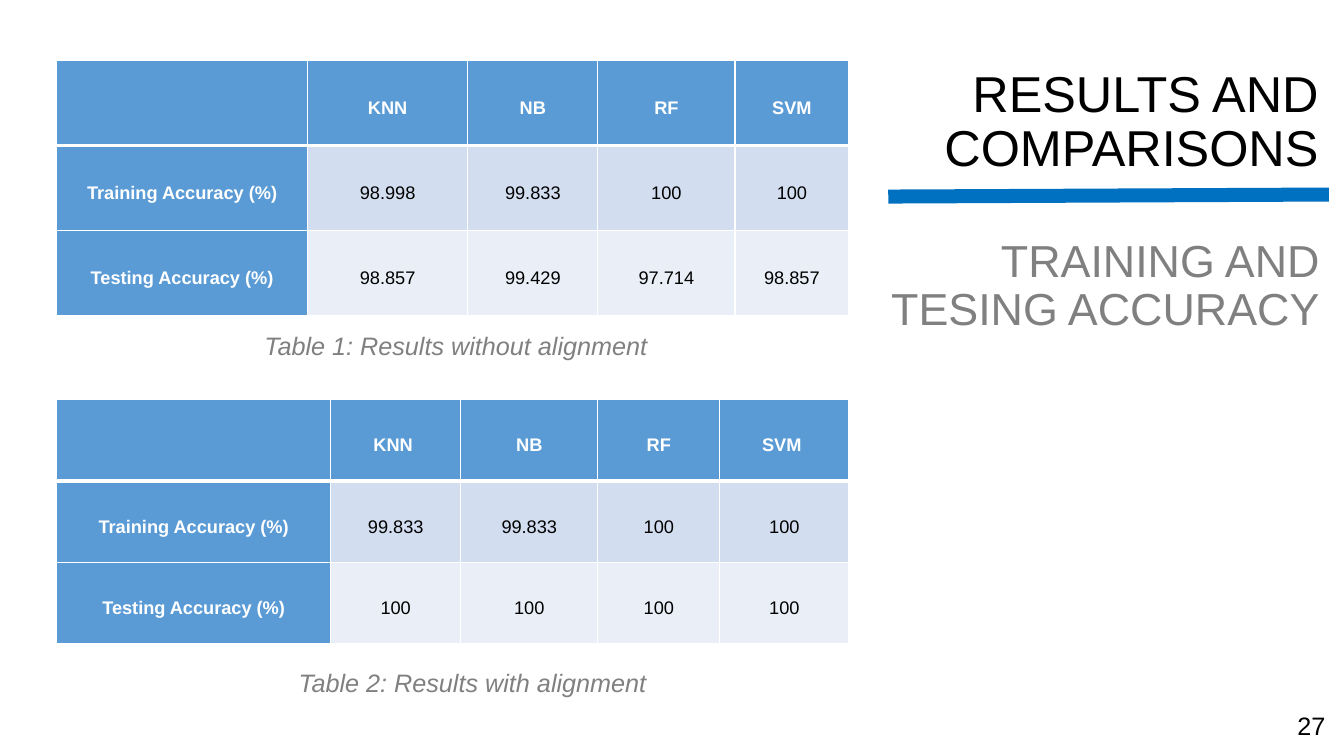
from lxml.etree import SubElement
from pptx import Presentation
from pptx.dml.color import RGBColor
from pptx.enum.shapes import MSO_CONNECTOR
from pptx.enum.text import MSO_ANCHOR as Anchor, PP_ALIGN as Align
from pptx.oxml.ns import qn
from pptx.util import Inches, Pt

TITLE = "RESULTS AND COMPARISONS"
SUBTITLE = "TRAINING AND TESING ACCURACY"
PAGE_NUMBER = "27"
TABLES = [
    {"top": 0.6, "row_height": 0.843, "columns": [2.49, 1.59, 1.29, 1.36, 1.13],
     "rows": [["", "KNN", "NB", "RF", "SVM"],
              ["Training Accuracy (%)", "98.998", "99.833", "100", "100"],
              ["Testing Accuracy (%)", "98.857", "99.429", "97.714", "98.857"]],
     "caption": "Table 1: Results without alignment",
     "caption_at": (2.48, 3.23, 4.04, 0.4)},
    {"top": 3.96, "row_height": 0.81, "columns": [2.72, 1.29, 1.36, 1.21, 1.28],
     "rows": [["", "KNN ", "NB", "RF", "SVM "],
              ["Training Accuracy (%)", "99.833", "99.833", "100", "100"],
              ["Testing Accuracy (%)", "100", "100", "100", "100"]],
     "caption": "Table 2: Results with alignment",
     "caption_at": (2.83, 6.57, 3.68, 0.4)},
]
TABLE_LEFT = 0.56
FONT = "Arial"
BLACK, WHITE, GREY = "000000", "FFFFFF", "808080"
HEADER_FILL, RULE_BLUE = "5A9BD5", "0070C0"
BODY_FILLS = ["D2DEEF", "EAEFF7"]


def color(hex_text):
    return RGBColor.from_string(hex_text)


def write(frame, text, size, ink, align, spacing=None, bold=False, italic=False):
    para = frame.paragraphs[0]
    para.alignment = align
    if spacing:
        para.line_spacing = spacing
    span = para.add_run()
    span.text = text
    span.font.name, span.font.size = FONT, Pt(size)
    span.font.bold, span.font.italic = bold, italic
    span.font.color.rgb = color(ink)
    return para


def add_text(page, place, *args, wrap=True, anchor=Anchor.TOP, **style):
    box = page.shapes.add_textbox(*map(Inches, place))
    box.text_frame.word_wrap = wrap
    box.text_frame.vertical_anchor = anchor
    write(box.text_frame, *args, **style)


def add_borders(cell, widths):
    """Draw white cell edges; widths maps L, R, T, B to points."""
    properties = cell._tc.get_or_add_tcPr()
    for side, width in widths.items():
        edge = SubElement(properties, qn(f"a:ln{side}"), w=str(Pt(width)))
        fill = SubElement(edge, qn("a:solidFill"))
        SubElement(fill, qn("a:srgbClr"), val=WHITE)


def fill_cell(cell, text, row, column):
    heading = row == 0 or column == 0
    add_borders(cell, {"L": 1, "R": 1, "T": 3 if row == 1 else 1,
                       "B": 3 if row == 0 else 1})
    cell.fill.solid()
    cell.fill.fore_color.rgb = color(HEADER_FILL if heading else BODY_FILLS[row - 1])
    cell.vertical_anchor = Anchor.MIDDLE
    cell.margin_left = cell.margin_right = Inches(0.07)
    cell.margin_top = cell.margin_bottom = 0
    if text:
        para = write(cell.text_frame, text, 13, WHITE if heading else BLACK,
                     Align.CENTER, spacing=1.5, bold=heading)
        para.space_after = Pt(10)


def add_results(page, content):
    rows, columns = content["rows"], content["columns"]
    height = content["row_height"]
    frame = page.shapes.add_table(
        len(rows), len(columns), Inches(TABLE_LEFT), Inches(content["top"]),
        Inches(sum(columns)), Inches(height * len(rows)))
    table = frame.table
    for column, width in zip(table.columns, columns):
        column.width = Inches(width)
    for row, texts in enumerate(rows):
        table.rows[row].height = Inches(height)
        for column, text in enumerate(texts):
            fill_cell(table.cell(row, column), text, row, column)
    add_text(page, content["caption_at"], content["caption"], 18, GREY,
             Align.RIGHT, wrap=False, italic=True)


def add_rule(page):
    rule = page.shapes.add_connector(
        MSO_CONNECTOR.STRAIGHT, *map(Inches, (8.81, 1.95, 13.18, 1.93)))
    rule.line.color.rgb = color(RULE_BLUE)
    rule.line.width = Pt(10)
    SubElement(rule._element.spPr, qn("a:effectLst"))


def main():
    deck = Presentation()
    deck.slide_width, deck.slide_height = Inches(13.33), Inches(7.5)
    page = deck.slides.add_slide(deck.slide_layouts[5])
    title = page.shapes.title
    title.left, title.top, title.width, title.height = map(
        Inches, (8.92, 0.6, 4.26, 1.24))
    title.text_frame.word_wrap = True
    title.text_frame.vertical_anchor = Anchor.MIDDLE
    write(title.text_frame, TITLE, 36, BLACK, Align.RIGHT, spacing=0.9)
    add_text(page, (12.77, 7, 0.56, 0.4), PAGE_NUMBER, 18, BLACK, Align.LEFT)
    add_text(page, (8.65, 2.06, 4.54, 1.57), SUBTITLE, 32, GREY, Align.RIGHT,
             anchor=Anchor.MIDDLE, spacing=0.9)
    add_rule(page)
    for content in TABLES:
        add_results(page, content)
    deck.save("out.pptx")


if __name__ == "__main__":
    main()
